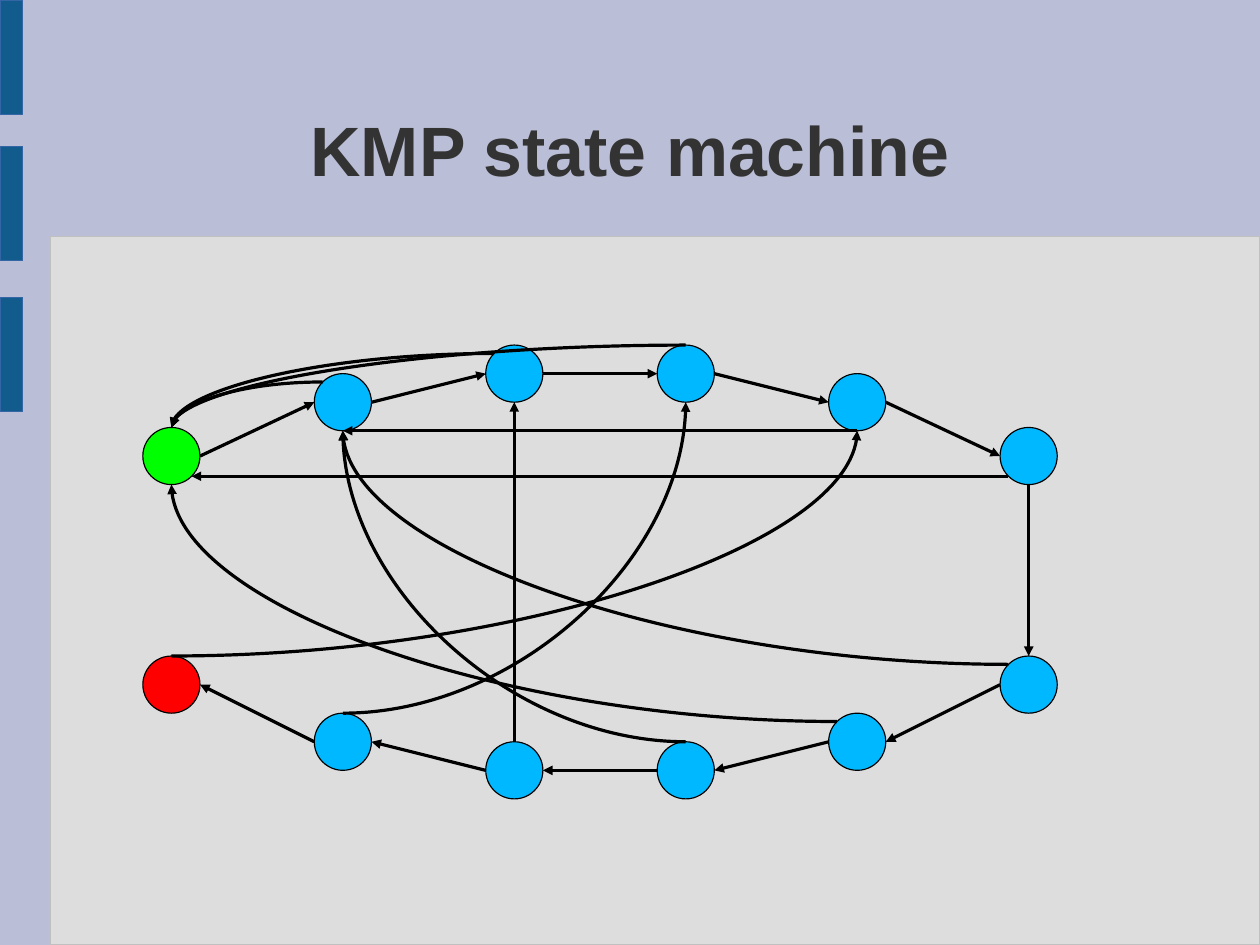
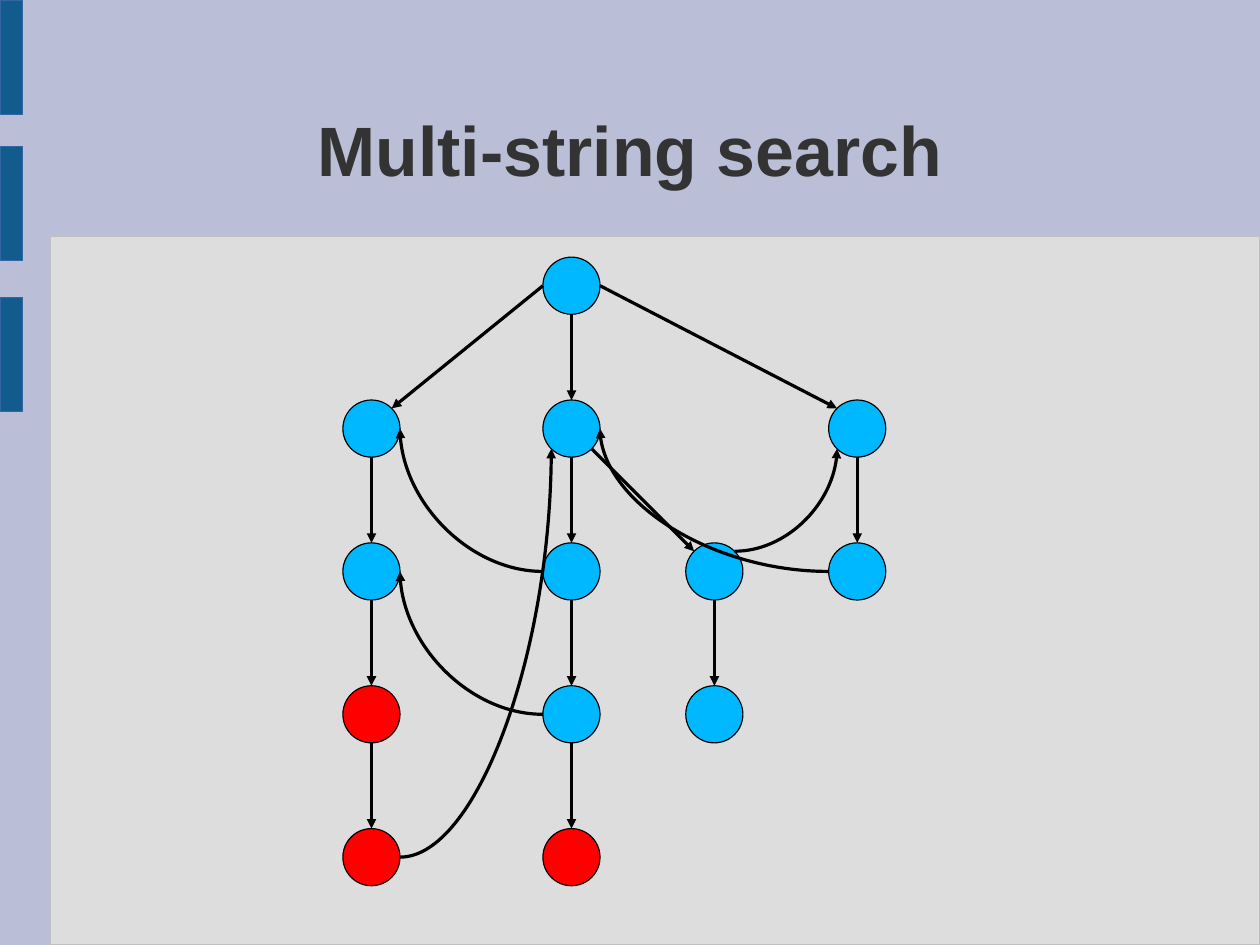
from math import cos, radians, sin

from lxml import etree
from pptx import Presentation
from pptx.dml.color import RGBColor
from pptx.enum.shapes import MSO_CONNECTOR, MSO_SHAPE
from pptx.enum.text import MSO_ANCHOR, MSO_AUTO_SIZE, PP_ALIGN
from pptx.oxml.ns import qn
from pptx.util import Pt

STRAIGHT, CURVE = MSO_CONNECTOR.STRAIGHT, MSO_CONNECTOR.CURVE
RECTANGLE, OVAL = MSO_SHAPE.RECTANGLE, MSO_SHAPE.OVAL
MIDDLE, CENTER, NO_FIT = MSO_ANCHOR.MIDDLE, PP_ALIGN.CENTER, MSO_AUTO_SIZE.NONE

WIDTH, HEIGHT = 793.7, 595.3
RADIUS = 18
BACKGROUND, PANEL, PANEL_EDGE = "BABED6", "DDDDDD", "C0C0C0"
BAND, BAND_EDGE = "125C8D", "3465A4"
INK, BLACK = "333333", "000000"
START, STATE, MATCH = "00FF00", "00B8FF", "FF0000"

# Connection sites of an ellipse, counterclockwise in steps of 45 degrees
TOP, TOP_LEFT, LEFT, BOTTOM_LEFT, BOTTOM, BOTTOM_RIGHT, RIGHT, TOP_RIGHT = range(8)


def paint(fill, color):
    fill.solid()
    fill.fore_color.rgb = RGBColor.from_string(color)


def write(box, text, *, size, color, font="Arial", bold=False, align=CENTER):
    para = box.text_frame.paragraphs[0]
    para.alignment = align
    span = para.add_run()
    span.text = text
    span.font.name, span.font.size, span.font.bold = font, Pt(size), bold
    paint(span.font.fill, color)


# Deck and master
deck = Presentation()
deck.slide_width, deck.slide_height = Pt(WIDTH), Pt(HEIGHT)
master = deck.slide_master
paint(master.background.fill, BACKGROUND)
slides = [deck.slides.add_slide(deck.slide_layouts[5]) for _ in range(2)]

master_title = master.placeholders[0]
master_title.left, master_title.top = Pt(58.3), Pt(43.9)
master_title.width, master_title.height = Pt(677.5), Pt(99.4)
frame = master_title.text_frame
frame.margin_left = frame.margin_right = frame.margin_top = frame.margin_bottom = 0
frame.vertical_anchor, frame.auto_size = MIDDLE, NO_FIT

# Panel and side bands, moved onto the master behind its placeholders
decorations = [(32, 149.2, WIDTH - 32, HEIGHT - 149.2, PANEL, PANEL_EDGE)]
decorations += [(0, top, 14.4, 72, BAND, BAND_EDGE) for top in (0, 92.2, 187.2)]
for number, (left, top, width, height, color, edge) in enumerate(decorations):
    shape = slides[0].shapes.add_shape(RECTANGLE, Pt(left), Pt(top), Pt(width), Pt(height))
    shape.shadow.inherit = False
    paint(shape.fill, color)
    paint(shape.line.fill, edge)
    shape.line.width = Pt(0)
    shape.element.xpath(".//p:cNvPr")[0].set("id", str(100 + number))
    master_title.element.addprevious(shape.element)

# State machine: six states to the right, then six back to the left
upper = [287.3, 253.4, 235.4, 235.4, 253.4, 287.3]
lower = [431.3, 467.3, 485.3, 485.3, 467.3, 431.3]
ring = [(108 * (i + 1), y) for i, y in enumerate(upper)]
ring += [(108 * (6 - i), y) for i, y in enumerate(lower)]
machine_states = {i: (x, y, STATE) for i, (x, y) in enumerate(ring)}
machine_states[0] = (*ring[0], START)
machine_states[11] = (*ring[11], MATCH)
machine_steps = [(i, RIGHT, i + 1, LEFT) for i in range(5)]
machine_steps += [(5, BOTTOM, 6, TOP)]
machine_steps += [(i, LEFT, i + 1, RIGHT) for i in range(6, 11)]
machine_fallbacks = [
    (1, TOP_LEFT, 0, TOP), (2, TOP_LEFT, 0, TOP), (3, TOP, 0, TOP),
    (4, BOTTOM, 1, BOTTOM), (5, BOTTOM_LEFT, 0, BOTTOM_RIGHT),
    (6, TOP_LEFT, 1, BOTTOM), (7, TOP_LEFT, 0, BOTTOM), (8, TOP, 1, BOTTOM),
    (9, TOP, 2, BOTTOM), (10, TOP, 3, BOTTOM), (11, TOP, 4, BOTTOM),
]

# Search tree: each state is a column letter and a level
columns = {"A": (234, range(1, 5)), "B": (360, range(5)),
           "C": (450, range(2, 4)), "D": (540, range(1, 3))}
matches = {"A3", "A4", "B4"}
tree_states, tree_steps = {}, []
for letter, (x, levels) in columns.items():
    for level in levels:
        name = f"{letter}{level}"
        tree_states[name] = (x, 180 + 90 * level, MATCH if name in matches else STATE)
        if level > levels[0]:
            tree_steps.append((f"{letter}{level - 1}", BOTTOM, name, TOP))
tree_steps += [("B0", LEFT, "A1", TOP_RIGHT), ("B0", RIGHT, "D1", TOP_LEFT),
               ("B1", BOTTOM_RIGHT, "C2", TOP_LEFT)]
tree_fallbacks = [
    ("B3", LEFT, "A2", RIGHT), ("B2", LEFT, "A1", RIGHT), ("D2", LEFT, "B1", RIGHT),
    ("C2", TOP_RIGHT, "D1", BOTTOM_LEFT), ("A4", RIGHT, "B1", BOTTOM_LEFT),
]

graphs = [
    ("KMP state machine", machine_states, machine_steps, machine_fallbacks),
    ("Multi-string search", tree_states, tree_steps, tree_fallbacks),
]
for slide, (title, states, steps, fallbacks) in zip(slides, graphs):
    write(slide.shapes.title, title, size=44, color=INK, bold=True)

    # States
    circles = {}
    for name, (x, y, color) in states.items():
        circle = slide.shapes.add_shape(
            OVAL, Pt(x - RADIUS), Pt(y - RADIUS), Pt(2 * RADIUS), Pt(2 * RADIUS))
        circle.shadow.inherit = False
        paint(circle.fill, color)
        paint(circle.line.fill, BLACK)
        circle.line.width = Pt(0)
        circles[name] = circle

    # Straight steps and curved fallbacks
    arrows = [(STRAIGHT, *step) for step in steps]
    arrows += [(CURVE, *fallback) for fallback in fallbacks]
    for kind, source, source_site, target, target_site in arrows:
        ends = []
        for name, site in ((source, source_site), (target, target_site)):
            x, y, _ = states[name]
            angle = radians(45 * site)
            ends += [Pt(round(x - RADIUS * sin(angle), 2)),
                     Pt(round(y - RADIUS * cos(angle), 2))]
        arrow = slide.shapes.add_connector(kind, *ends)
        paint(arrow.line.fill, BLACK)
        arrow.line.width = Pt(0)
        properties = arrow.element.spPr
        etree.SubElement(properties.find(qn("a:ln")), qn("a:tailEnd"), type="triangle")
        etree.SubElement(properties, qn("a:effectLst"))
        if kind == CURVE:
            # A quarter curve leaves sideways and arrives upright
            properties.find(qn("a:prstGeom")).set("prst", "curvedConnector2")
        else:
            links = arrow.element.xpath(".//p:cNvCxnSpPr")[0]
            for tag, name, site in (("a:stCxn", source, source_site),
                                    ("a:endCxn", target, target_site)):
                etree.SubElement(links, qn(tag), id=str(circles[name].shape_id), idx=str(site))

deck.save("out.pptx")
